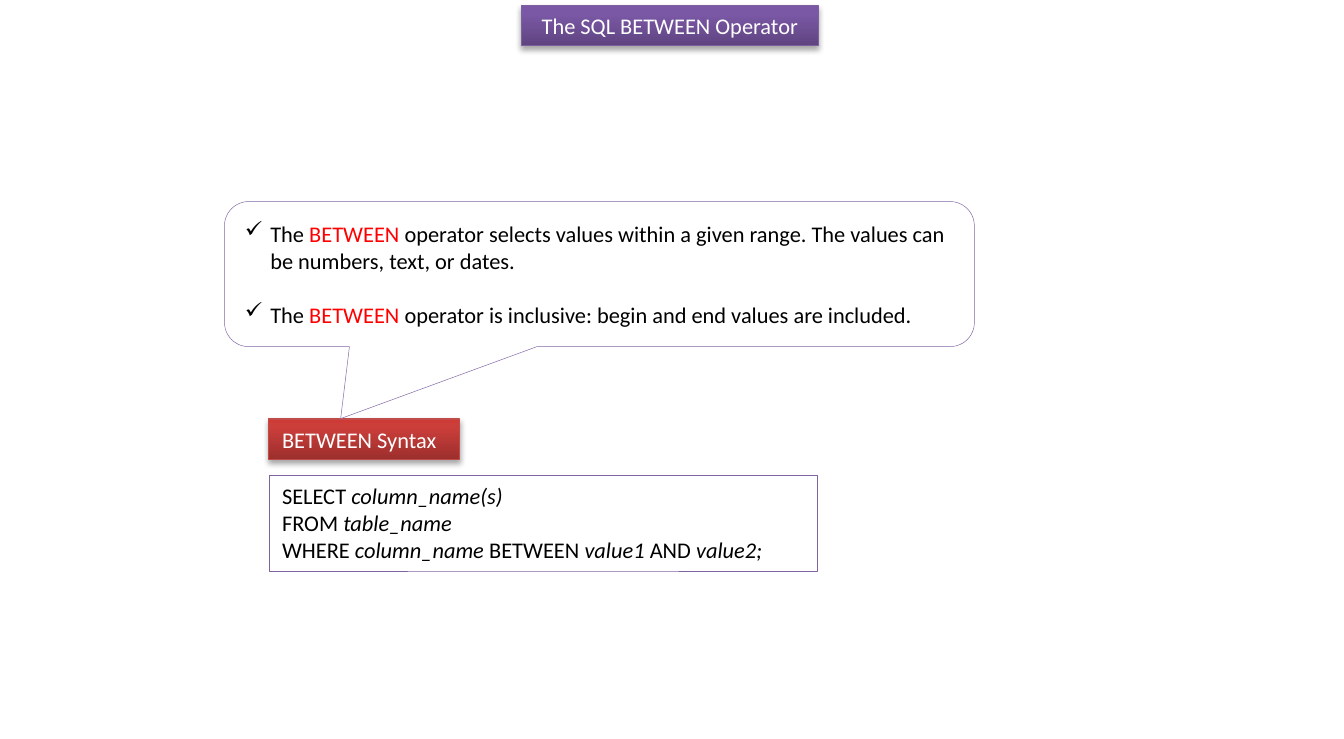
from copy import deepcopy
from lxml.etree import SubElement
from pptx import Presentation
from pptx.dml.color import RGBColor
from pptx.enum.shapes import MSO_SHAPE
from pptx.enum.text import MSO_ANCHOR, MSO_AUTO_SIZE, PP_ALIGN
from pptx.oxml import parse_xml
from pptx.oxml.ns import nsdecls, qn
from pptx.util import Inches, Pt


def rgb(code):
    return RGBColor.from_string(code)


def text(shape, lines, color="000000", mark=None, slant=False,
         align=PP_ALIGN.LEFT, anchor=MSO_ANCHOR.TOP, grow=True,
         bullet=None, gap=0):
    frame = shape.text_frame
    frame.word_wrap = True
    frame.vertical_anchor = anchor
    if grow:
        frame.auto_size = MSO_AUTO_SIZE.SHAPE_TO_FIT_TEXT
    for row, line in enumerate(lines):
        para = frame.add_paragraph() if row else frame.paragraphs[0]
        para.alignment = align
        if row and gap:
            para.space_before = Pt(gap)
        if bullet:
            props = para._p.get_or_add_pPr()
            props.set("marL", str(Inches(0.19)))
            props.set("indent", str(Inches(-0.19)))
            SubElement(props, qn("a:buChar"), char=bullet)
        for part, words in enumerate(line.split("|")):
            run = para.add_run()
            run.text = words
            font = run.font
            font.name, font.size = "Calibri", Pt(12)
            odd = part % 2 == 1
            font.italic = slant and odd
            font.color.rgb = rgb(mark if mark and odd else color)


deck = Presentation()
deck.slide_width, deck.slide_height = Inches(10), Inches(5.5)
slide = deck.slides.add_slide(deck.slide_layouts[6])

titles = [
    ("The SQL BETWEEN Operator", 3.88, 0.04, 2.21, PP_ALIGN.CENTER,
     "7D60A0", ["5F4480", "7B58A6", "7C57A8"]),
    ("BETWEEN Syntax", 2, 3.12, 1.42, PP_ALIGN.LEFT,
     "BF4C48", ["9C2F2D", "CB3E3A", "CE3B37"]),
]
for words, left, top, width, align, edge, tones in titles:
    title = slide.shapes.add_shape(
        MSO_SHAPE.RECTANGLE, Inches(left), Inches(top), Inches(width), Inches(0.3))
    title.line.color.rgb = rgb(edge)
    title.line.width = Pt(0.75)
    title.fill.gradient()
    title.fill.gradient_angle = 90
    stops = title._element.spPr.find(qn("a:gradFill")).find(qn("a:gsLst"))
    stops.insert(1, deepcopy(stops[0]))
    for stop, spot, tone in zip(title.fill.gradient_stops, (0, 0.8, 1), tones):
        stop.position = spot
        stop.color.rgb = rgb(tone)
    title._element.spPr.append(parse_xml(
        f'<a:effectLst {nsdecls("a")}><a:outerShdw blurRad="40000" dist="23000" '
        'dir="5400000" rotWithShape="0"><a:srgbClr val="000000">'
        '<a:alpha val="35000"/></a:srgbClr></a:outerShdw></a:effectLst>'))
    text(title, [words], color="FFFFFF", align=align)

code = slide.shapes.add_shape(
    MSO_SHAPE.RECTANGLE, Inches(2), Inches(3.54), Inches(4.08), Inches(0.71))
note = slide.shapes.add_shape(
    MSO_SHAPE.ROUNDED_RECTANGULAR_CALLOUT,
    Inches(1.67), Inches(1.5), Inches(5.58), Inches(1.08))
for spot, value in enumerate((-0.345, 0.996, 0.167)):
    note.adjustments[spot] = value
for box in (code, note):
    box.shadow.inherit = False
    box.fill.solid()
    box.fill.fore_color.rgb = rgb("FFFFFF")
    box.line.color.rgb = rgb("8064A2")
    box.line.width = Pt(0.25)

text(code, [
    "SELECT |column_name(s)",
    "FROM |table_name",
    "WHERE |column_name |BETWEEN |value1| AND |value2;",
], slant=True)
text(note, [
    "The |BETWEEN| operator selects values within a given range. "
    "The values can be numbers, text, or dates.",
    "The |BETWEEN| operator is inclusive: begin and end values are included.",
], mark="FF0000", anchor=MSO_ANCHOR.MIDDLE, grow=False, bullet="✓", gap=14.6)

deck.save("out.pptx")
